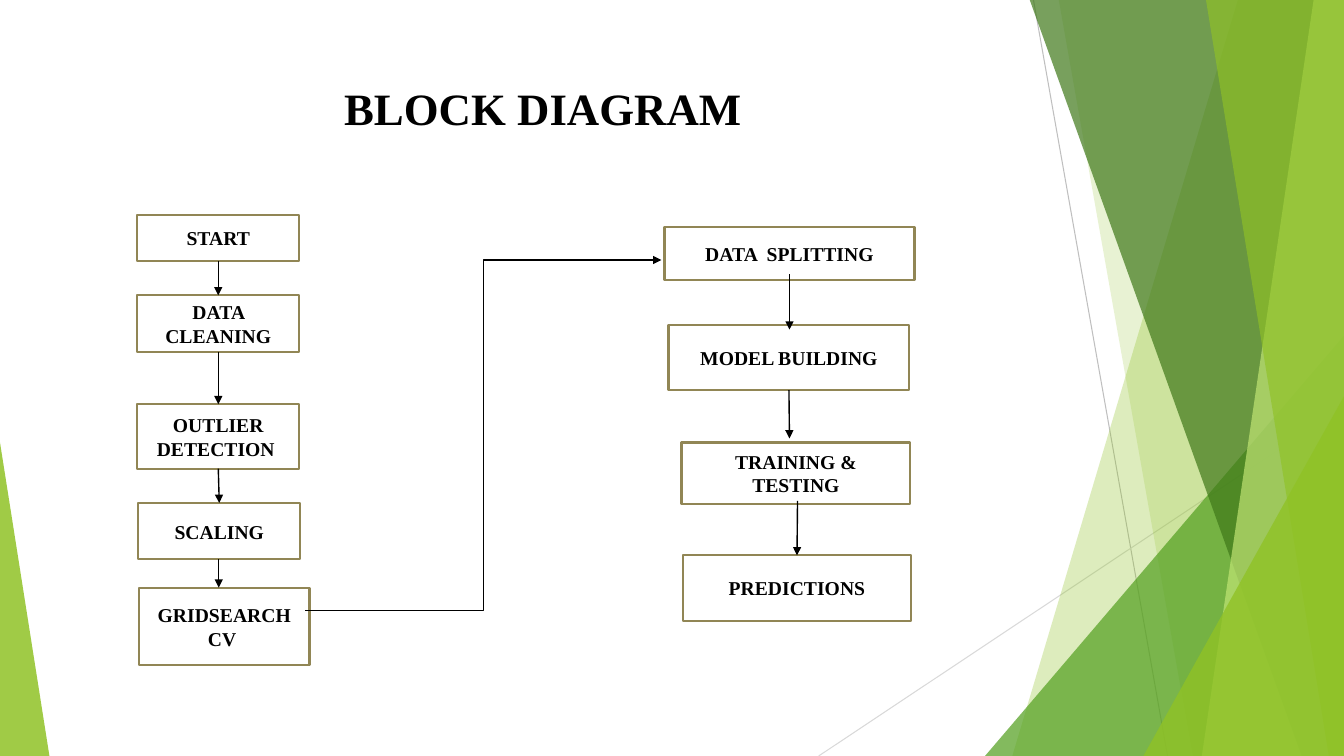
from pptx import Presentation
from pptx.dml.color import RGBColor
from pptx.enum.shapes import MSO_CONNECTOR, MSO_SHAPE
from pptx.enum.text import MSO_ANCHOR, PP_ALIGN
from pptx.oxml.ns import qn
from pptx.util import Pt
from lxml import etree

PX = 9144
WIDTH, HEIGHT = 1333, 750
STRAIGHT, ELBOW = MSO_CONNECTOR.STRAIGHT, MSO_CONNECTOR.ELBOW
RECTANGLE, TRIANGLE = MSO_SHAPE.RECTANGLE, MSO_SHAPE.ISOSCELES_TRIANGLE
MIDDLE, CENTER = MSO_ANCHOR.MIDDLE, PP_ALIGN.CENTER
TOP, BOTTOM = 0, 2
FONT = "Times New Roman"
BLACK, WHITE, BORDER = "000000", "FFFFFF", "918655"

TITLE = ("BLOCK DIAGRAM ", (74, 68, 940, 77))

THIN_LINES = [
    ((1025, 0), (1158, 750), "BFBFBF"),
    ((1333, 403), (812, 750), "D9D9D9"),
]
# top-left x, bottom-left x, colour, opacity; or bounds, apex, colour, opacity
FACETS = [
    ("band", (1228, 1004), "90C226", 30),
    ("band", (1050, 1183), "90C226", 20),
    ("triangle", ((977, 333, 356, 417), 1), "54A021", 72),
    ("band", (1021, 1291), "3F7819", 70),
    ("band", (1303, 1192), "C0E474", 70),
    ("band", (1196, 1318), "90C226", 65),
    ("triangle", ((1134, 393, 199, 357), 1), "90C226", 80),
    ("triangle", ((0, 439, 49, 311), 0), "90C226", 85),
]

STEPS = {
    "start": ("START", (136, 213, 161, 46)),
    "cleaning": ("DATA CLEANING", (136, 293, 161, 56)),
    "outlier": ("OUTLIER DETECTION ", (136, 401, 161, 64)),
    "scaling": ("SCALING", (137, 499, 161, 56)),
    "grid": ("GRIDSEARCH CV ", (138, 583, 169, 77)),
    "splitting": ("DATA  SPLITTING", (659, 225, 248, 53)),
    "model": ("MODEL BUILDING", (663, 322, 239, 65)),
    "training": ("TRAINING & TESTING", (676, 439, 227, 61)),
    "predictions": ("PREDICTIONS", (677, 551, 227, 65)),
}

ARROWS = [
    (STRAIGHT, (217, 259), (217, 293), "start", "cleaning"),
    (STRAIGHT, (217, 349), (217, 401), "cleaning", "outlier"),
    (STRAIGHT, (217, 465), (218, 499), "outlier", "scaling"),
    (STRAIGHT, (217, 555), (217, 583), None, None),
    (ELBOW, (303, 606), (656, 258), None, None),
    (STRAIGHT, (783, 272), (783, 327), None, None),
    (STRAIGHT, (783, 387), (783, 435), "model", None),
    (STRAIGHT, (791, 497), (791, 551), None, "predictions"),
]


def emu(lengths):
    return [length * PX for length in lengths]


def color(code):
    return RGBColor.from_string(code)


def write(shape, text, size):
    frame = shape.text_frame
    frame.word_wrap = True
    frame.vertical_anchor = MIDDLE
    para = frame.paragraphs[0]
    para.alignment = CENTER
    span = para.add_run()
    span.text = text
    span.font.name = FONT
    span.font.size = Pt(size)
    span.font.bold = True
    span.font.color.rgb = color(BLACK)


def add_line(kind, start, end, code, width):
    line = slide.shapes.add_connector(kind, *emu(start + end))
    line.line.color.rgb = color(code)
    line.line.width = Pt(width)
    etree.SubElement(line._element.spPr, qn("a:effectLst"))
    return line


def add_facet(kind, geometry, code, opacity):
    if kind == "band":
        top_x, bottom_x = geometry
        builder = slide.shapes.build_freeform(top_x, -1, scale=PX)
        builder.add_line_segments(
            [(WIDTH, -1), (WIDTH, HEIGHT), (bottom_x, HEIGHT)], close=True)
        facet = builder.convert_to_shape()
    else:
        bounds, apex = geometry
        facet = slide.shapes.add_shape(TRIANGLE, *emu(bounds))
        facet.adjustments[0] = apex
    facet.shadow.inherit = False
    facet.line.fill.background()
    facet.fill.solid()
    facet.fill.fore_color.rgb = color(code)
    tint = facet._element.spPr.find(qn("a:solidFill"))[0]
    etree.SubElement(tint, qn("a:alpha"), val=str(opacity * 1000))


def add_step(text, bounds):
    box = slide.shapes.add_shape(RECTANGLE, *emu(bounds))
    box.shadow.inherit = False
    box.fill.solid()
    box.fill.fore_color.rgb = color(WHITE)
    box.line.color.rgb = color(BORDER)
    box.line.width = Pt(1.5)
    write(box, text, 14)
    return box


def add_arrow(kind, start, end, source, target):
    arrow = add_line(kind, start, end, BLACK, 1)
    etree.SubElement(arrow.line._get_or_add_ln(), qn("a:tailEnd"), type="triangle")
    if source:
        arrow.begin_connect(boxes[source], BOTTOM)
    if target:
        arrow.end_connect(boxes[target], TOP)


deck = Presentation()
deck.slide_width, deck.slide_height = emu((WIDTH, HEIGHT))
slide = deck.slides.add_slide(deck.slide_layouts[5])

title_text, title_bounds = TITLE
title = slide.shapes.title
title.left, title.top, title.width, title.height = emu(title_bounds)
write(title, title_text, 32)

for start, end, code in THIN_LINES:
    add_line(STRAIGHT, start, end, code, 0.75)
for facet in FACETS:
    add_facet(*facet)
boxes = {name: add_step(*step) for name, step in STEPS.items()}
for arrow in ARROWS:
    add_arrow(*arrow)

deck.save("out.pptx")
